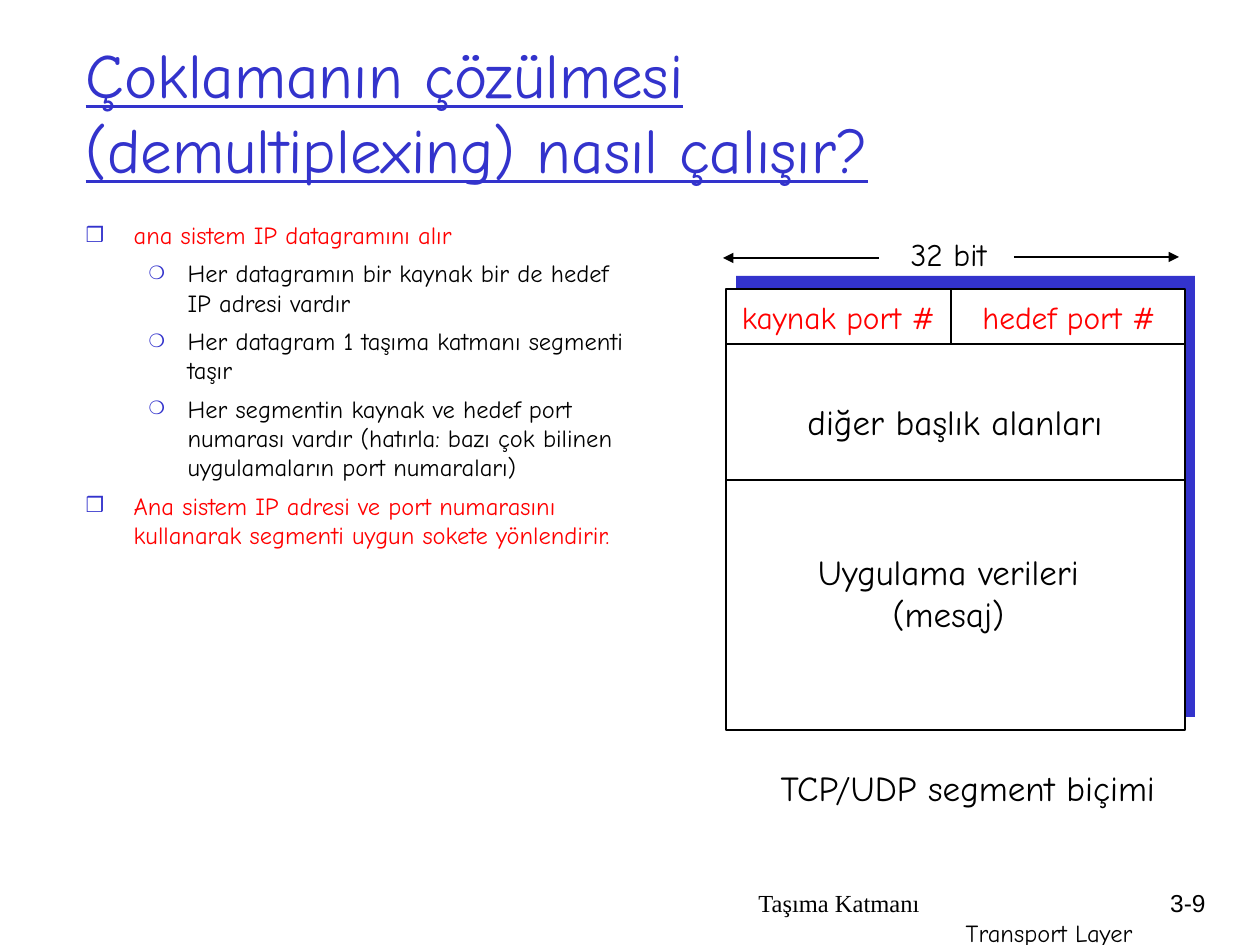
from lxml.etree import SubElement
from pptx import Presentation
from pptx.dml.color import RGBColor as Rgb
from pptx.enum.shapes import MSO_CONNECTOR as Link, MSO_SHAPE as Kind
from pptx.enum.text import MSO_ANCHOR as Anchor, MSO_AUTO_SIZE as Fit, PP_ALIGN as Align
from pptx.oxml.ns import qn
from pptx.util import Emu, Pt

PX = 914400 / 126
BLUE, RED, BLACK, WHITE = "3333CC", "FF0000", "000000", "FFFFFF"
FACE = "Comic Neue"

TITLE = "Çoklamanın çözülmesi (demultiplexing) nasıl çalışır?"
ITEMS = [
    (0, "ana sistem IP datagramını alır"),
    (1, "Her datagramın bir kaynak bir de hedef IP adresi vardır"),
    (1, "Her datagram 1 taşıma katmanı segmenti taşır"),
    (1, "Her segmentin kaynak ve hedef port numarası vardır (hatırla: bazı çok "
        "bilinen uygulamaların port numaraları)"),
    (0, "Ana sistem IP adresi ve port numarasını kullanarak segmenti uygun "
        "sokete yönlendirir."),
]
LEVELS = [("❒", 85, 48, 48, RED), ("❍", 75, 102, 39, BLACK)]
PANELS = [((736, 276, 459, 441), BLUE, None), ((726, 289, 459, 441), WHITE, BLACK)]
RULES = [
    (726, 344, 1185, 344, False),
    (726, 480, 1185, 480, False),
    (951, 344, 951, 289, False),
    (1014, 257, 1179, 257, True),
    (879, 258, 723, 258, True),
]
LABELS = [
    ((729, 292, 219, 50), ["kaynak port #"], 18, RED),
    ((970, 292, 198, 50), ["hedef port #"], 18, RED),
    ((898, 229, 101, 50), ["32 bit"], 18, BLACK),
    ((805, 544, 287, 97), ["Uygulama verileri", "(mesaj)"], 20, BLACK),
    ((795, 394, 320, 55), ["diğer başlık alanları"], 20, BLACK),
    ((766, 760, 404, 55), ["TCP/UDP segment biçimi"], 20, BLACK),
]
FOOTER = [
    ((746, 882, 399, 63), [("Taşıma Katmanı", "Times New Roman", Align.LEFT),
                           ("Transport Layer", FACE, Align.RIGHT)]),
    ((1125, 882, 93, 63), [("3-9", "Arial", Align.RIGHT)]),
]


def px(*nums):
    return [Emu(round(n * PX)) for n in nums]


def rgb(code):
    return Rgb.from_string(code)


def style(para, size, color, face=FACE):
    font = para.font
    font.size, font.name = Pt(size), face
    font.color.rgb = rgb(color)


def place(shape, box):
    shape.left, shape.top, shape.width, shape.height = px(*box)
    shape.text_frame.auto_size = Fit.NONE
    shape.text_frame.word_wrap = True


def paras(frame, rows):
    for i, row in enumerate(rows):
        yield (frame.add_paragraph() if i else frame.paragraphs[0]), row


def bullet(para, mark, pct, left, hang):
    prop = para._p.get_or_add_pPr()
    prop.set("marL", str(px(left)[0]))
    prop.set("indent", str(-px(hang)[0]))
    tint = SubElement(prop, qn("a:buClr"))
    SubElement(tint, qn("a:srgbClr"), val=BLUE)
    SubElement(prop, qn("a:buSzPct"), val=str(pct * 1000))
    SubElement(prop, qn("a:buChar"), char=mark)


def add_panel(slide, box, fill, edge):
    rect = slide.shapes.add_shape(Kind.RECTANGLE, *px(*box))
    rect.shadow.inherit = False
    rect.fill.solid()
    rect.fill.fore_color.rgb = rgb(fill)
    if edge:
        rect.line.color.rgb = rgb(edge)
        rect.line.width = Pt(1.5)
    else:
        rect.line.fill.background()


def add_rule(slide, x1, y1, x2, y2, arrow):
    rule = slide.shapes.add_connector(Link.STRAIGHT, *px(x1, y1, x2, y2))
    rule.line.color.rgb = rgb(BLACK)
    rule.line.width = Pt(1.5)
    if arrow:
        SubElement(rule.line._get_or_add_ln(), qn("a:tailEnd"), type="triangle")
    SubElement(rule._element.spPr, qn("a:effectLst"))


def add_label(slide, box, lines, size, color):
    frame = slide.shapes.add_textbox(*px(*box)).text_frame
    frame.word_wrap = False
    for para, text in paras(frame, lines):
        para.text, para.alignment = text, Align.CENTER
        style(para, size, color)


def add_footer(slide, box, rows):
    frame = slide.shapes.add_textbox(*px(*box)).text_frame
    frame.word_wrap = True
    for para, (text, face, side) in paras(frame, rows):
        para.text, para.alignment = text, side
        style(para, 14, BLACK, face)


def fill_title(shape):
    place(shape, (73, 32, 1071, 158))
    frame = shape.text_frame
    frame.vertical_anchor = Anchor.MIDDLE
    para = frame.paragraphs[0]
    para.text, para.alignment = TITLE, Align.LEFT
    style(para, 36, BLUE)
    para.font.underline = True


def fill_body(shape):
    place(shape, (73, 214, 567, 384))
    for para, (level, text) in paras(shape.text_frame, ITEMS):
        mark, pct, left, hang, color = LEVELS[level]
        para.text, para.level = text, level
        para.space_before = Pt(0 if text == ITEMS[0][1] else 5)
        bullet(para, mark, pct, left, hang)
        style(para, 14, color)


def main():
    """Build the demultiplexing slide."""
    deck = Presentation()
    deck.slide_width, deck.slide_height = px(1260, 945)
    slide = deck.slides.add_slide(deck.slide_layouts[1])
    fill_title(slide.shapes.title)
    fill_body(slide.placeholders[1])
    for add, rows in [(add_footer, FOOTER), (add_panel, PANELS),
                      (add_rule, RULES), (add_label, LABELS)]:
        for row in rows:
            add(slide, *row)
    deck.save("out.pptx")


if __name__ == "__main__":
    main()
